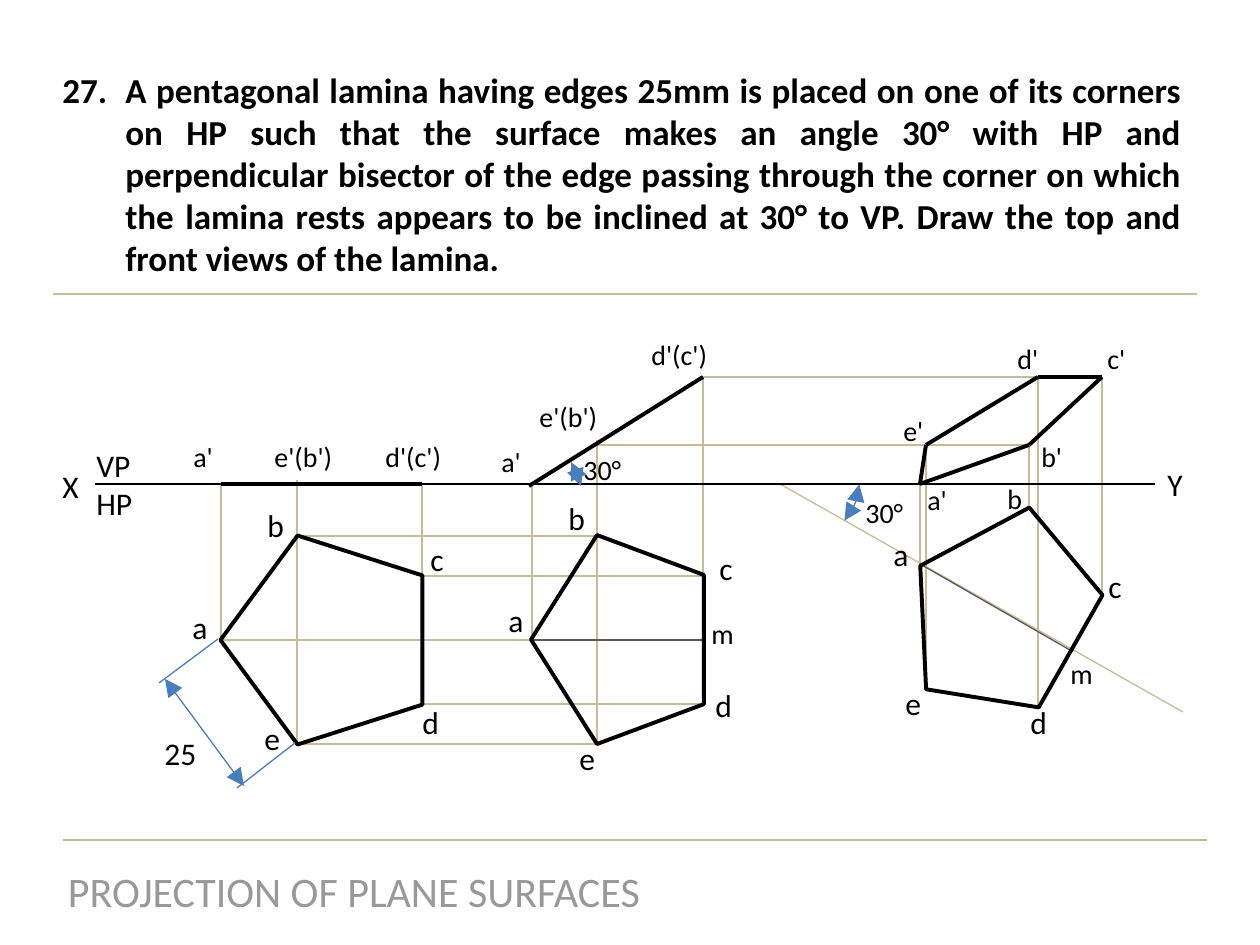
import pptx
import pptx.dml.color
import pptx.enum.shapes
import pptx.enum.text
import pptx.oxml.ns
import pptx.util
from lxml import etree

EMU_PER_PX = 914400 / 126
BLACK = pptx.dml.color.RGBColor(0x00, 0x00, 0x00)
TAN = pptx.dml.color.RGBColor(0xC4, 0xBD, 0x97)
BLUE = pptx.dml.color.RGBColor(0x4A, 0x7D, 0xBB)
DARK_GRAY = pptx.dml.color.RGBColor(0x59, 0x59, 0x59)
FOOTER_GRAY = pptx.dml.color.RGBColor(0x99, 0x99, 0x99)
SHAPES = pptx.enum.shapes.MSO_SHAPE
ALIGN = pptx.enum.text.PP_ALIGN
THIN, THICK = 0.75, 2.25

PROBLEM = (
    "A pentagonal lamina having edges 25mm is placed on one of its corners on HP "
    "such that the surface makes an angle 30° with HP and perpendicular bisector "
    "of the edge passing through the corner on which the lamina rests appears to "
    "be inclined at 30° to VP. Draw the top and front views of the lamina."
)

GROUND, MIDDLE, HIGH = 484, 445, 377
FLAT_A, FLAT_B, FLAT_C = 221, 297, 422
TILTED_A, TILTED_B, TILTED_C = 532, 597, 703
ROW_B, ROW_C, ROW_A, ROW_D, ROW_E = 536, 576, 640, 704, 744
TOP_VIEW = {"a": (920, 564), "b": (1029, 507), "c": (1102, 593),
            "d": (1038, 706), "e": (926, 688)}
FRONT_HEIGHTS = {"a": GROUND, "b": MIDDLE, "c": HIGH, "d": HIGH, "e": MIDDLE}

LABEL_WIDTHS = {"c": 39, "25": 58, "30°": 71, "e'(b')": 84, "d'(c')": 84, "VP\nHP": 62}
LARGE_LABELS = [
    ("X", 50, 461), ("Y", 1155, 459), ("VP\nHP", 84, 440), ("25", 152, 728),
    ("a", 180, 602), ("b", 255, 500), ("c", 418, 534), ("d", 410, 697), ("e", 252, 713),
    ("a", 496, 595), ("b", 556, 493), ("c", 707, 543), ("d", 703, 680), ("e", 567, 733),
    ("a", 881, 529), ("c", 1096, 561), ("d", 1018, 697), ("e", 893, 678),
]
SMALL_LABELS = [
    ("a'", 181, 433), ("e'(b')", 262, 433), ("d'(c')", 373, 433),
    ("a'", 489, 438), ("e'(b')", 527, 393), ("d'(c')", 639, 331),
    ("30°", 571, 446), ("30°", 853, 489), ("m", 699, 610), ("m", 1058, 650),
    ("b", 995, 475), ("a'", 915, 476), ("b'", 1029, 433), ("c'", 1095, 335),
    ("d'", 1005, 335), ("e'", 891, 407),
]


def px(length):
    return pptx.util.Emu(round(length * EMU_PER_PX))


def add_element(parent, tag, **attributes):
    return etree.SubElement(parent, pptx.oxml.ns.qn(tag), attributes)


def write_text(frame, text, size=18, color=BLACK, bold=False, align=ALIGN.LEFT,
               wrap=False, start=None):
    frame.word_wrap = wrap
    for index, words in enumerate(text.split("\n")):
        para = frame.paragraphs[0] if index == 0 else frame.add_paragraph()
        para.alignment = align
        if start is not None:
            properties = para._p.get_or_add_pPr()
            properties.set("marL", str(pptx.util.Inches(0.5)))
            properties.set("indent", str(-pptx.util.Inches(0.5)))
            bullet_color = add_element(properties, "a:buClr")
            add_element(bullet_color, "a:srgbClr", val=str(color))
            add_element(properties, "a:buFont", typeface="+mj-lt")
            add_element(properties, "a:buAutoNum", type="arabicPeriod", startAt=str(start))
        span = para.add_run()
        span.text = words
        span.font.name = "Calibri"
        span.font.size = pptx.util.Pt(size)
        span.font.bold = bold
        span.font.color.rgb = color


class Drawing:
    def __init__(self, page):
        self.page = page

    def style_line(self, line, color, width, arrows):
        line.color.rgb = color
        line.width = pptx.util.Pt(width)
        if arrows:
            outline = line._get_or_add_ln()
            for end in ("a:headEnd", "a:tailEnd"):
                add_element(outline, end, type="triangle", w="lg", len="lg")

    def text(self, text, left, top, width, height, **style):
        box = self.page.shapes.add_textbox(px(left), px(top), px(width), px(height))
        write_text(box.text_frame, text, **style)

    def line(self, begin, end, color=TAN, width=THIN, arrows=False):
        connector = self.page.shapes.add_connector(
            pptx.enum.shapes.MSO_CONNECTOR.STRAIGHT, *map(px, (*begin, *end)))
        self.style_line(connector.line, color, width, arrows)
        add_element(connector._element.spPr, "a:effectLst")

    def outline(self, kind, left, top, width, height, rotation,
                color=BLACK, weight=THICK, arrows=False):
        shape = self.page.shapes.add_shape(kind, px(left), px(top), px(width), px(height))
        shape.rotation = rotation
        shape.shadow.inherit = False
        shape.fill.background()
        self.style_line(shape.line, color, weight, arrows)
        return shape

    def pentagon(self, left, top, width, height, rotation):
        self.outline(SHAPES.REGULAR_PENTAGON, left, top, width, height, rotation)

    def angle_mark(self, left, top, rotation, begin, end):
        arc = self.outline(SHAPES.ARC, left, top, 64, 105, rotation, BLUE, THIN, True)
        arc.adjustments[0] = begin * 0.6
        arc.adjustments[1] = end * 0.6


def draw_frame(drawing):
    drawing.text(PROBLEM, 50, 62, 1144, 224, size=20, bold=True,
                 align=ALIGN.JUSTIFY, wrap=True, start=27)
    drawing.line((1197, 294), (53, 294))
    drawing.line((1207, 840), (63, 840))
    drawing.text("PROJECTION OF PLANE SURFACES", 53, 859, 602, 63, size=24,
                 color=FOOTER_GRAY, align=ALIGN.CENTER)


def draw_projectors(drawing):
    for x, bottom, top in [
        (FLAT_A, ROW_A, GROUND), (FLAT_B, ROW_E, 480), (FLAT_C, 634, GROUND),
        (TILTED_A, ROW_A, GROUND), (TILTED_B, ROW_E, 440), (TILTED_C, 693, HIGH),
    ]:
        drawing.line((x, bottom), (x, top))
    for y, left, right in [
        (ROW_A, FLAT_A, TILTED_A), (ROW_B, FLAT_B, TILTED_B), (ROW_C, FLAT_C, TILTED_C),
        (ROW_D, FLAT_C, TILTED_C), (ROW_E, FLAT_B, TILTED_B),
        (HIGH, TILTED_C, TOP_VIEW["c"][0]), (MIDDLE, TILTED_B, TOP_VIEW["b"][0]),
    ]:
        drawing.line((left, y), (right, y))
    for corner, (x, y) in TOP_VIEW.items():
        drawing.line((x, y), (x, FRONT_HEIGHTS[corner]))
    drawing.line((780, GROUND), (1183, 712))
    drawing.line((1155, GROUND), (95, GROUND), BLACK)


def draw_views(drawing):
    drawing.line((TILTED_A, ROW_A), (TILTED_C, ROW_A), DARK_GRAY)
    drawing.line(TOP_VIEW["a"], (1070, 650), DARK_GRAY)
    drawing.pentagon(217, 539, 209, 202, 270)
    drawing.pentagon(513, 553, 209, 173, 270)
    drawing.pentagon(891, 522, 209, 173, 299.6)
    drawing.line((FLAT_C, GROUND), (FLAT_A, GROUND), BLACK, THICK)
    drawing.line((TILTED_C, HIGH), (529, 486), BLACK, THICK)
    for begin, end in zip("abcde", "bcdea"):
        drawing.line((TOP_VIEW[begin][0], FRONT_HEIGHTS[begin]),
                     (TOP_VIEW[end][0], FRONT_HEIGHTS[end]), BLACK, THICK)


def draw_dimensions(drawing):
    drawing.line((165, 679), (244, 786), BLUE, arrows=True)
    drawing.line((159, 683), (218, 639), BLUE)
    drawing.line((237, 788), (295, 743), BLUE)
    drawing.angle_mark(784, 452, 44.6, 290.38, 345)
    drawing.angle_mark(518, 441, 346.7, 317.6, 0)


def draw_labels(drawing):
    for labels, size, height, usual_width in [
        (LARGE_LABELS, 18, 50, 43), (SMALL_LABELS, 16, 47, 50),
    ]:
        for text, left, top in labels:
            width = LABEL_WIDTHS.get(text, usual_width)
            extra_height = 39 * text.count("\n")
            drawing.text(text, left, top, width, height + extra_height, size=size)


def main():
    deck = pptx.Presentation()
    deck.slide_width, deck.slide_height = px(1260), px(945)
    drawing = Drawing(deck.slides.add_slide(deck.slide_layouts[6]))
    draw_frame(drawing)
    draw_projectors(drawing)
    draw_views(drawing)
    draw_dimensions(drawing)
    draw_labels(drawing)
    deck.save("out.pptx")


if __name__ == "__main__":
    main()
